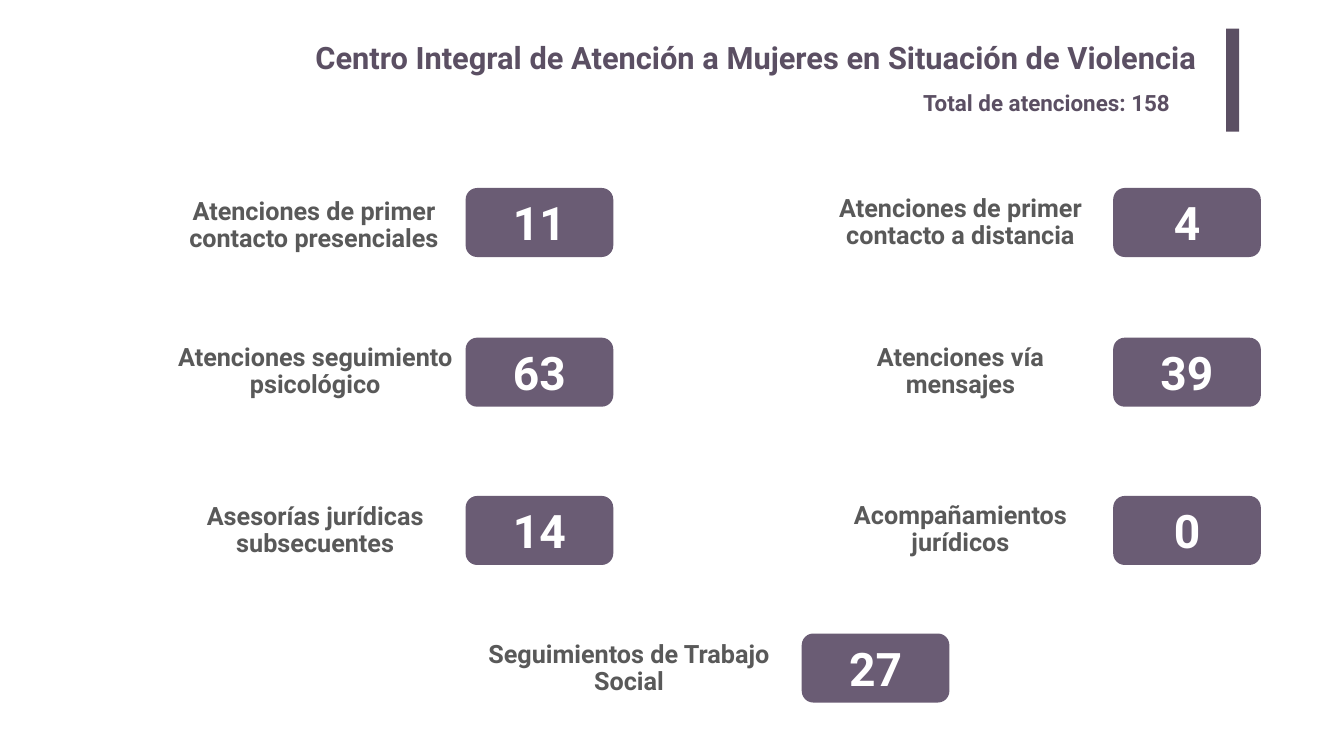
from pptx import Presentation
from pptx.dml.color import RGBColor
from pptx.enum.shapes import MSO_SHAPE
from pptx.enum.text import MSO_ANCHOR, PP_ALIGN
from pptx.util import Emu, Pt

PX = 9144  # 100 px to the inch
FONT = "Roboto"
COLORS = {"heading": "5B4F63", "pill": "6A5C74", "label": "595959", "number": "FFFFFF"}

PILL_W, PILL_H = 293, 137
PILL_LEFTS = (924, 2209)
PILL_TOPS = (373, 670, 984)

# Each entry: label, label box (left, top, width, height), number
ROWS = [
    [("Atenciones de primer contacto presenciales", (349, 380, 548, 137), "11"),
     ("Atenciones de primer contacto a distancia", (1648, 381, 516, 121), "4")],
    [("Atenciones seguimiento psicológico", (235, 712, 781, 53), "63"),
     ("Atenciones vía mensajes", (1666, 686, 480, 105), "39")],
    [("Asesorías jurídicas subsecuentes", (323, 1013, 605, 80), "14"),
     ("Acompañamientos jurídicos", (1583, 1020, 646, 64), "0")],
]
SOCIAL_WORK = ("Seguimientos de Trabajo Social", (924, 1257, 648, 141), "27")


def px(*values):
    return [Emu(v * PX) for v in values]


def rgb(name):
    return RGBColor.from_string(COLORS[name])


def write(sp, text, size, color, align, anchor=MSO_ANCHOR.TOP, margins=(10, 5)):
    tf = sp.text_frame
    tf.text = text
    tf.word_wrap = True
    tf.vertical_anchor = anchor
    side, edge = px(*margins)
    tf.margin_left = tf.margin_right = side
    tf.margin_top = tf.margin_bottom = edge
    p = tf.paragraphs[0]
    p.alignment = align
    font = p.runs[0].font
    font.name, font.size, font.bold = FONT, Pt(size), True
    font.color.rgb = rgb(color)
    return p


def add_box(s, kind, box, color):
    sp = s.shapes.add_shape(kind, *px(*box))
    sp.shadow.inherit = False
    sp.fill.solid()
    sp.fill.fore_color.rgb = rgb(color)
    sp.line.fill.background()
    return sp


def add_header(s, left, top):
    # Title, total and accent bar
    title = s.shapes.add_textbox(*px(left, top + 10, 2030, 102))
    write(title, "Centro Integral de Atención a Mujeres en Situación de Violencia",
          44, "heading", PP_ALIGN.RIGHT, margins=(20, 10))
    total = s.shapes.add_textbox(*px(left + 1456, top + 114, 592, 64))
    write(total, "Total de atenciones: 158", 32, "heading", PP_ALIGN.LEFT)
    add_box(s, MSO_SHAPE.RECTANGLE, (left + 2067, top, 26, 204), "heading")


def add_metric(s, left, top, label, label_box, number):
    # Label with its number in a rounded box
    tb = s.shapes.add_textbox(*px(*label_box))
    p = write(tb, label, 36, "label", PP_ALIGN.CENTER, MSO_ANCHOR.MIDDLE)
    p.line_spacing = 0.9
    pill = add_box(s, MSO_SHAPE.ROUNDED_RECTANGLE, (left, top, PILL_W, PILL_H), "pill")
    write(pill, number, 66, "number", PP_ALIGN.CENTER, MSO_ANCHOR.MIDDLE)


def main():
    prs = Presentation()
    prs.slide_width, prs.slide_height = px(2667, 1500)
    s = prs.slides.add_slide(prs.slide_layouts[6])
    add_header(s, 366, 57)
    # Two columns of metrics, then the one centred below
    for top, row in zip(PILL_TOPS, ROWS):
        for left, metric in zip(PILL_LEFTS, row):
            add_metric(s, left, top, *metric)
    add_metric(s, 1591, 1257, *SOCIAL_WORK)
    prs.save("out.pptx")


if __name__ == "__main__":
    main()
